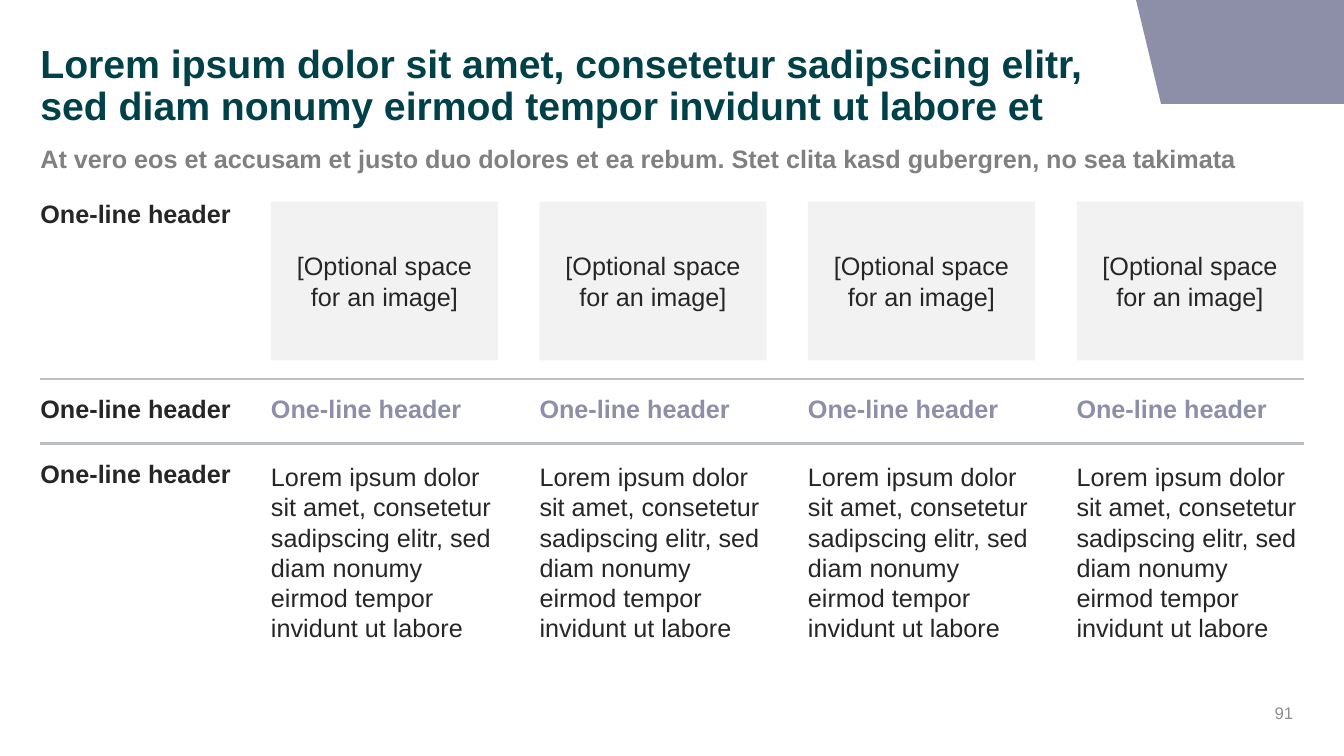
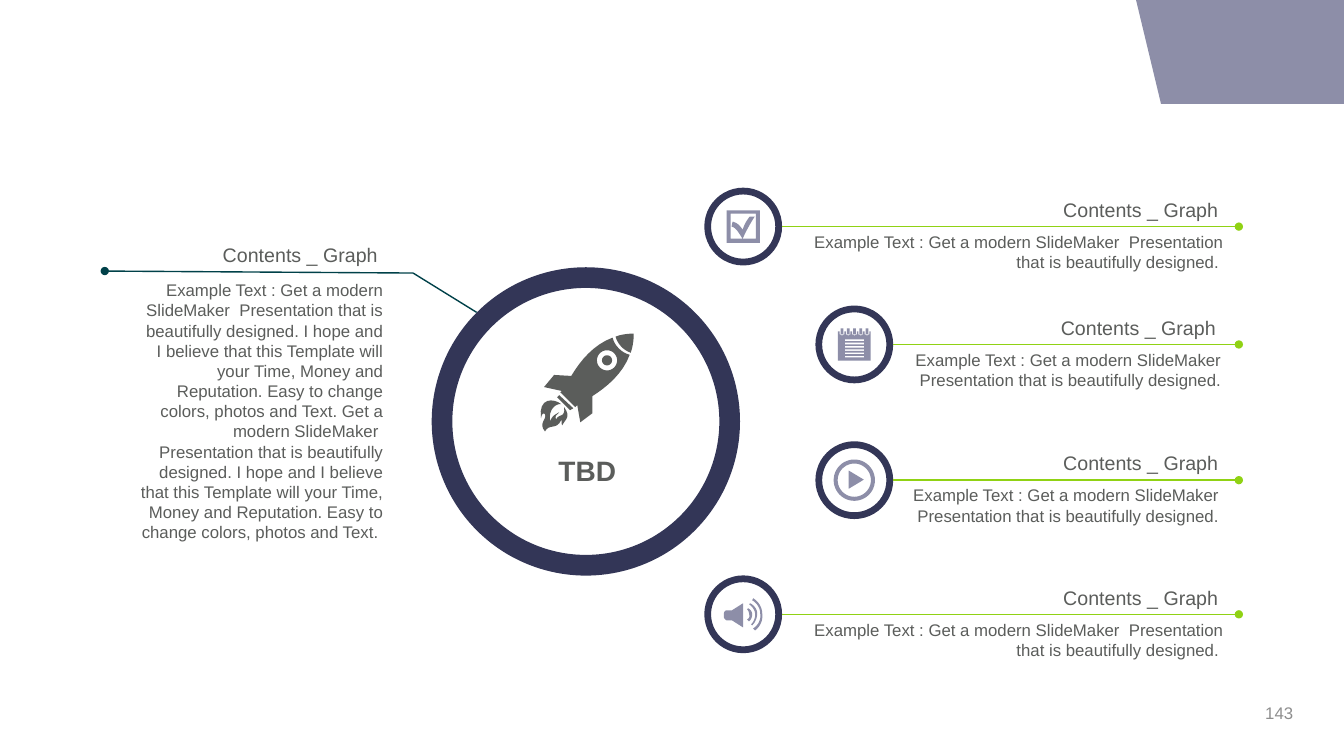
from dataclasses import dataclass
from math import cos, pi, sin

from lxml import etree
from pptx import Presentation
from pptx.dml.color import RGBColor
from pptx.enum.shapes import MSO_CONNECTOR, MSO_SHAPE
from pptx.enum.text import MSO_ANCHOR, PP_ALIGN
from pptx.oxml.ns import qn
from pptx.util import Cm, Pt

LEFT, CENTER, RIGHT = PP_ALIGN.LEFT, PP_ALIGN.CENTER, PP_ALIGN.RIGHT
TOP, MIDDLE = MSO_ANCHOR.TOP, MSO_ANCHOR.MIDDLE
STRAIGHT = MSO_CONNECTOR.STRAIGHT
RECTANGLE, DONUT = MSO_SHAPE.RECTANGLE, MSO_SHAPE.DONUT


@dataclass(frozen=True)
class Theme:
    font: str = "Arial"
    title: str = "004149"
    accent: str = "8D8EA8"
    ring: str = "333657"
    green: str = "90D214"
    ink: str = "252625"
    soft_ink: str = "5B5D5B"
    subtitle: str = "808080"
    number: str = "8E8E8E"
    rule: str = "BBBEC2"
    panel: str = "F2F2F2"
    title_size: int = 28
    center_size: int = 20
    body_size: int = 18
    label_size: int = 14
    small_size: int = 12


THEME = Theme()

# Content: column slide
COLUMNS_PAGE = {
    "number": "91",
    "title": "Lorem ipsum dolor sit amet, consetetur sadipscing elitr, "
             "sed diam nonumy eirmod tempor invidunt ut labore et",
    "subtitle": "At vero eos et accusam et justo duo dolores et ea rebum. "
                "Stet clita kasd gubergren, no sea takimata",
    "row_headers": ["One-line header"] * 3,
    "columns": [("[Optional space for an image]", "One-line header",
                 "Lorem ipsum dolor sit amet, consetetur sadipscing elitr, "
                 "sed diam nonumy eirmod tempor invidunt ut labore")] * 4,
}

# Content: ring slide
LABEL = "Contents _ Graph "
EXAMPLE = "Example Text : Get a modern SlideMaker  Presentation that is beautifully designed. "
PITCH = ("I hope and I believe that this Template will your Time, Money and Reputation. "
         "Easy to change colors, photos and Text. ")
RING_PAGE = {
    "number": "143",
    "center": "TBD",
    "label": LABEL,
    "story": EXAMPLE + PITCH + EXAMPLE.replace("Example Text : ", "") + PITCH,
    # icon, ring left, ring middle, right edge of the text (cm)
    "items": [("check", 17.75, 5.71, 31.09), ("notepad", 20.55, 8.68, 31.03),
              ("play", 20.55, 12.1, 31.09), ("speaker", 17.75, 15.48, 31.09)],
}

# Icon outlines, in units of UNIT cm
UNIT = 0.0254
ROCKET = [
    "M 20 70 C 15 69 7 75 9 87 C 11 81 15 80 18 78 C 17 80 13 81 15 85 C 18 79 24 84 23 73 "
    "C 30 83 24 85 21 91 C 20 90 21 84 20 86 C 15 96 8 89 4 97 C -3 89 6 85 4 80 "
    "C 3 79 1 78 0 84 C -3 63 13 64 20 70",
    "M 18 61 L 32 74 C 31 75 30 75 29 76 L 16 63",
    "M 71 4 C 73 12 80 19 88 21 C 81 40 65 53 51 62 L 51 79 L 39 88 L 36 71 L 34 73 "
    "L 19 58 C 20 58 20 57 21 57 L 3 53 L 13 41 L 30 42 C 39 27 52 11 71 4",
    "M 92 0 C 92 7 91 13 89 19 C 81 16 76 10 74 3 C 79 1 85 0 92 0",
]
SPEAKER = [
    "M 19 5 L 19 29 L 8 22 L 3 22 C 2 22 0 20 0 19 L 0 15 C 0 13 2 12 3 12 L 8 12",
    "M 24 10 C 26 11 28 13 28 16 C 28 19 27 21 25 23 L 23 21 C 25 20 26 18 25 16 "
    "C 25 14 24 12 23 11",
    "M 26 5 C 30 7 33 11 33 15 C 33 20 31 24 28 27 L 27 26 C 30 23 31 19 31 16 "
    "C 31 12 28 8 25 6",
    "M 29 0 C 34 3 38 9 38 15 C 39 22 36 28 31 32 L 29 30 C 34 27 37 21 36 15 "
    "C 36 10 33 5 28 2",
]
CHECK = [
    "M 0 0 L 33 0 L 33 32 L 0 32",
    "M 4 3 L 4 28 L 16 28 C 13 24 10 17 5 16 L 6 11 C 12 13 13 15 16 19 "
    "C 18 13 20 10 23 6 L 28 6 C 24 12 19 21 16 28 L 29 28 L 29 3",
]


# Outline geometry
def trace(outline, steps=8):
    """Turn M, L and C commands into a list of points."""
    words, points = outline.split(), []
    while words:
        count = 6 if words.pop(0) == "C" else 2
        numbers = [float(word) for word in words[:count]]
        del words[:count]
        pairs = list(zip(numbers[::2], numbers[1::2]))
        if count == 2:
            points += pairs
            continue
        curve = [points[-1]] + pairs
        for step in range(1, steps + 1):
            t = step / steps
            weights = ((1 - t) ** 3, 3 * t * (1 - t) ** 2, 3 * t * t * (1 - t), t ** 3)
            points.append(tuple(sum(w * spot[axis] for w, spot in zip(weights, curve))
                                for axis in (0, 1)))
    return points


def circle(x, y, radius, steps=48):
    return [(x + radius * cos(2 * pi * i / steps), y + radius * sin(2 * pi * i / steps))
            for i in range(steps)]


def block(left, top, right, bottom):
    return [(left, top), (right, top), (right, bottom), (left, bottom)]


def notepad():
    binders = [4 + 6.2 * i for i in range(5)]
    sheet = [(0, 32), (0, 3)]
    for x in binders:
        sheet += [(x - 2.3, 3), (x - 2.3, 6), (x, 7.2), (x + 2.3, 6), (x + 2.3, 3)]
    sheet += [(32.5, 3), (32.5, 32)]
    rows = [block(7, 11 + 3.25 * i, 26, 12.6 + 3.25 * i) for i in range(6)]
    return [sheet] + rows + [block(x - 1.4, 0, x + 1.4, 6) for x in binders]


ICONS = {
    "rocket": [trace(part) for part in ROCKET] + [circle(65.5, 26.5, r) for r in (10, 5)],
    "check": [trace(part) for part in CHECK],
    "notepad": notepad(),
    "play": [circle(20.5, 20.5, r) for r in (20.5, 16.5)] + [[(15, 11), (30, 20), (15, 29)]],
    "speaker": [trace(part) for part in SPEAKER],
}


# Drawing helpers, lengths in cm
def paint(shape, color):
    shape.shadow.inherit = False
    shape.fill.solid()
    shape.fill.fore_color.rgb = RGBColor.from_string(color)
    shape.line.fill.background()
    return shape


def write(shape, text, *, size=THEME.body_size, color=THEME.ink, bold=False, align=LEFT,
          anchor=TOP, inset=True, line=None, before=0, after=0):
    frame = shape.text_frame
    frame.word_wrap = True
    frame.vertical_anchor = anchor
    if not inset:
        frame.margin_left = frame.margin_right = frame.margin_top = frame.margin_bottom = 0
    para = frame.paragraphs[0]
    para.alignment = align
    para.space_before, para.space_after = Pt(before), Pt(after)
    if line:
        para.line_spacing = line
    span = para.add_run()
    span.text = text
    span.font.name, span.font.size, span.font.bold = THEME.font, Pt(size), bold
    span.font.color.rgb = RGBColor.from_string(color)


def add_text(page, text, left, top, width, height, **style):
    box = page.shapes.add_textbox(Cm(left), Cm(top), Cm(width), Cm(height))
    write(box, text, **style)


def add_shape(page, kind, left, top, width, height, color):
    return paint(page.shapes.add_shape(kind, Cm(left), Cm(top), Cm(width), Cm(height)), color)


def add_ring(page, left, middle, size, thickness):
    ring = add_shape(page, DONUT, left, middle - size / 2, size, size, THEME.ring)
    ring.adjustments[0] = thickness


def add_line(page, start, end, color, width, dot=None):
    """Draw a line; dot is headEnd or tailEnd for a round end."""
    line = page.shapes.add_connector(STRAIGHT, *(Cm(value) for value in start + end))
    line.line.color.rgb = RGBColor.from_string(color)
    line.line.width = Pt(width)
    if dot:
        etree.SubElement(line.line._get_or_add_ln(), qn("a:" + dot), type="oval")
    etree.SubElement(line._element.spPr, qn("a:effectLst"))


def add_outline(page, contours, color):
    contours = [[(Cm(x), Cm(y)) for x, y in contour] for contour in contours]
    builder = page.shapes.build_freeform(*contours[0][0])
    for i, contour in enumerate(contours):
        if i:
            builder.move_to(*contour[0])
        builder.add_line_segments(contour[1:], close=True)
    paint(builder.convert_to_shape(), color)


def add_icon(page, name, center, middle, color):
    contours = ICONS[name]
    xs, ys = zip(*(point for contour in contours for point in contour))
    mid_x, mid_y = (min(xs) + max(xs)) / 2, (min(ys) + max(ys)) / 2
    add_outline(page, [[(center + (x - mid_x) * UNIT, middle + (y - mid_y) * UNIT)
                        for x, y in contour] for contour in contours], color)


def new_page(deck, number):
    """Blank page with the corner band and the page number."""
    page = deck.slides.add_slide(deck.slide_layouts[6])
    add_outline(page, [[(33.87, 0), (33.87, 2.62), (29.26, 2.62), (28.63, 0)]], THEME.accent)
    add_text(page, number, 25.22, 17.65, 7.62, 0.61, size=THEME.small_size,
             color=THEME.number, align=RIGHT, anchor=MIDDLE)
    return page


# Slides
def build_columns(deck, content):
    page = new_page(deck, content["number"])
    left, right, first, width = 1.02, 32.85, 6.83, 5.72
    rows = (5.08, 10.01, 11.63)
    header = dict(bold=True, inset=False, line=0.9, before=4)

    add_text(page, content["title"], left, 1.12, 27.61, 2.21, size=THEME.title_size,
             color=THEME.title, bold=True, inset=False, line=0.9)
    add_text(page, content["subtitle"], left, 3.61, right - left, 0.86,
             color=THEME.subtitle, bold=True, inset=False, before=6)
    for text, top in zip(content["row_headers"], rows):
        add_text(page, text, left, top, 4.8, 0.69, **header)
    for y in (9.55, 11.18):
        add_line(page, (left, y), (right, y), THEME.rule, 1.75)

    columns = content["columns"]
    step = (right - first - width) / (len(columns) - 1)
    for i, (image_note, heading, body) in enumerate(columns):
        x = first + i * step
        panel = add_shape(page, RECTANGLE, x, rows[0], width, 4, THEME.panel)
        write(panel, image_note, align=CENTER, anchor=MIDDLE)
        add_text(page, heading, x, rows[1], width, 0.69, **{**header, "color": THEME.accent})
        add_text(page, body, x, rows[2], width, 4.62, inset=False, after=20)


def build_ring(deck, content):
    page = new_page(deck, content["number"])
    label = dict(size=THEME.label_size, color=THEME.soft_ink, align=RIGHT)
    small = {**label, "size": THEME.small_size}

    # Main ring with its callout
    add_ring(page, 10.88, 10.62, 7.77, 0.067)
    add_icon(page, "rocket", 14.8, 9.64, THEME.soft_ink)
    add_text(page, content["center"], 12.78, 11.3, 4.04, 1.12, size=THEME.center_size,
             color=THEME.soft_ink, bold=True, align=CENTER)
    add_text(page, content["label"], 3.2, 5.99, 6.71, 0.86, **label)
    add_text(page, content["story"], 3.2, 6.93, 6.71, 6.4, **small)
    bend = (10.41, 6.88)
    add_line(page, (2.64, 6.83), bend, THEME.title, 1, dot="headEnd")
    add_line(page, bend, (12.01, 7.87), THEME.title, 1)

    # Small rings with their lines
    size = 1.96
    for icon, left, middle, text_right in content["items"]:
        edge = left + size
        text_left = edge + 0.25
        add_ring(page, left, middle, size, 0.087)
        add_icon(page, icon, left + size / 2, middle, THEME.accent)
        add_line(page, (edge, middle), (31.22, middle), THEME.green, 1, dot="tailEnd")
        add_text(page, LABEL, text_left, middle - 0.85, text_right - text_left, 0.86, **label)
        add_text(page, EXAMPLE, text_left, middle, text_right - text_left, 1.27, **small)


def main():
    deck = Presentation()
    deck.slide_width, deck.slide_height = Cm(33.87), Cm(19.05)
    build_columns(deck, COLUMNS_PAGE)
    build_ring(deck, RING_PAGE)
    deck.save("out.pptx")


if __name__ == "__main__":
    main()
